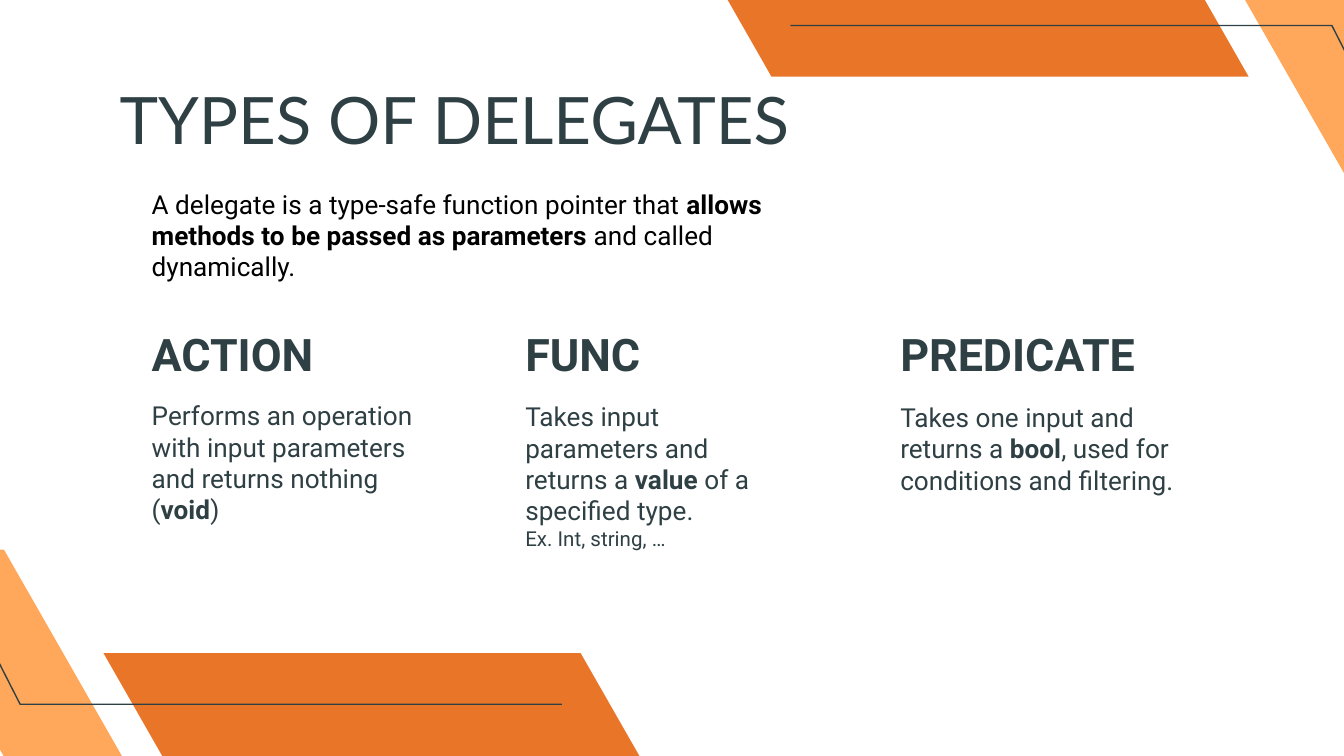
import pptx
import pptx.util
import pptx.dml.color
import pptx.enum.text
from pptx.util import Inches

INK, DARK, LIGHT = "2F4044", "E97529", "FFA85C"
Anchor = pptx.enum.text.MSO_ANCHOR


def color(code):
    return pptx.dml.color.RGBColor.from_string(code)


def write(shape, text, size=14, font="Roboto", ink=INK, bold=False,
          anchor=Anchor.TOP, pad=(0.05, 0.05), small=11):
    """Fill a shape; ** toggles bold, and lines after the first are small."""
    frame = shape.text_frame
    frame.word_wrap = True
    frame.auto_size = pptx.enum.text.MSO_AUTO_SIZE.NONE
    frame.vertical_anchor = anchor
    frame.margin_left = frame.margin_right = Inches(0.1)
    frame.margin_top, frame.margin_bottom = map(Inches, pad)
    for row, line in enumerate(text.split("\n")):
        para = frame.add_paragraph() if row else frame.paragraphs[0]
        para.alignment = pptx.enum.text.PP_ALIGN.LEFT
        for part, words in enumerate(line.split("**")):
            run = para.add_run()
            run.text = words
            run.font.name = font
            run.font.size = pptx.util.Pt(small if row else size)
            run.font.bold = bold or part % 2 == 1
            run.font.color.rgb = color(ink)


# Wide 16:9 slide
deck = pptx.Presentation()
deck.slide_width, deck.slide_height = Inches(10), Inches(10 * 9 / 16)
slide = deck.slides.add_slide(deck.slide_layouts[5])
shapes = slide.shapes

# Corner decoration: the lower left is the upper right turned by half a turn
bands = [
    ([(5.3, -0.2), (8.85, -0.2), (9.29, 0.57), (5.74, 0.57)], DARK),
    ([(9.15, -0.2), (10.03, -0.2), (10.92, 1.34), (10.03, 1.34)], LIGHT),
    ([(5.88, 0.19), (9.91, 0.19), (10.73, 1.8)], None),
]
for turned in (False, True):
    for points, fill in bands:
        if turned:
            points = [(10.06 - x, 5.43 - y) for x, y in points]
        points = [(Inches(x), Inches(y)) for x, y in points]
        path = shapes.build_freeform(*points[0], scale=1.0)
        path.add_line_segments(points[1:], close=fill is not None)
        band = path.convert_to_shape()
        band.shadow.inherit = False
        if fill:
            band.fill.solid()
            band.fill.fore_color.rgb = color(fill)
            band.line.fill.background()
        else:
            band.fill.background()
            band.line.color.rgb = color(INK)
            band.line.width = pptx.util.Pt(0.75)

# Title
title = shapes.title
title.left, title.top = Inches(0.79), Inches(0.59)
title.width, title.height = Inches(8.43), Inches(0.57)
write(title, "TYPES OF DELEGATES", size=35, font="Lato", pad=(0, 0.1))

# Definition
intro = shapes.add_textbox(Inches(1.03), Inches(1.35), Inches(5.09), Inches(0.81))
write(intro, "A delegate is a type-safe function pointer that **allows methods "
      "to be passed as parameters **and called dynamically.", ink="000000")

# Columns: heading, left, then top, width, height, padding and anchor of the text
columns = [
    ("ACTION", 1.03, 2.92, 2.38, 1.04, 0.05, Anchor.MIDDLE,
     "Performs an operation with input parameters and returns nothing (**void**)"),
    ("FUNC", 3.81, 2.88, 2.21, 0.95, 0.1, Anchor.TOP,
     "Takes input parameters and returns a **value** of a specified type.\n"
     "Ex. Int, string, …"),
    ("PREDICATE", 6.6, 2.93, 2.38, 0.81, 0.05, Anchor.MIDDLE,
     "Takes one input and returns a **bool**, used for conditions and filtering."),
]
for name, left, top, width, height, pad, anchor, text in columns:
    head = shapes.add_textbox(Inches(left), Inches(2.35), Inches(2.38), Inches(0.58))
    write(head, name, size=24, bold=True, anchor=Anchor.BOTTOM, pad=(0.1, 0.1))
    body = shapes.add_textbox(Inches(left), Inches(top), Inches(width), Inches(height))
    write(body, text, anchor=anchor, pad=(pad, pad))

deck.save("out.pptx")
